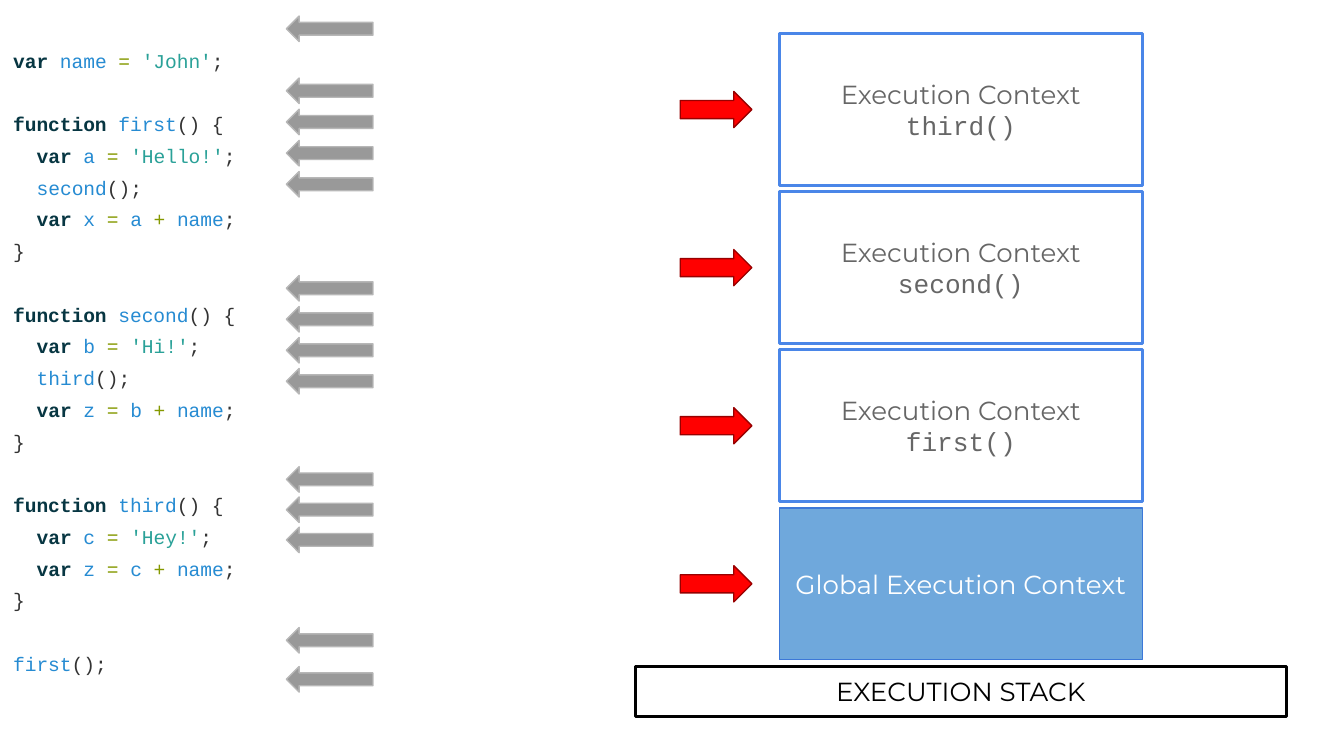
from dataclasses import dataclass

from lxml.etree import SubElement
from pptx import Presentation
from pptx.dml.color import RGBColor
from pptx.enum.shapes import MSO_SHAPE
from pptx.enum.text import MSO_ANCHOR, PP_ALIGN
from pptx.oxml.ns import qn
from pptx.util import Pt


@dataclass(frozen=True)
class Theme:
    mono: str = "Courier New"
    sans: str = "Montserrat"
    code_size: float = 10.5
    label_size: float = 14
    line_height: float = 17
    white: str = "FFFFFF"
    black: str = "000000"
    label: str = "666666"
    frame: str = "4A86E8"
    base_fill: str = "6FA8DC"
    base_line: str = "3C78D8"
    step_fill: str = "999999"
    step_line: str = "B7B7B7"
    pointer_fill: str = "FF0000"
    pointer_line: str = "980000"
    keyword: str = "073642"
    identifier: str = "268BD2"
    operator: str = "859900"
    string: str = "2AA198"
    punctuation: str = "333333"


THEME = Theme()
INSET = 7.2


# Shared helpers
def add_run(p, text, color, size, font, bold=False):
    r = p.add_run()
    r.text = text
    for name, value in {"size": Pt(size), "name": font, "bold": bold}.items():
        setattr(r.font, name, value)
    r.font.color.rgb = RGBColor.from_string(color)


def set_frame(tf, anchor):
    margins = {f"margin_{side}": Pt(INSET) for side in ("left", "top", "right", "bottom")}
    for name, value in {"word_wrap": True, "vertical_anchor": anchor, **margins}.items():
        setattr(tf, name, value)


def add_shape(s, kind, box, fill, line, weight=0.75):
    sp = s.shapes.add_shape(kind, *map(Pt, box))
    sp.shadow.inherit = False
    if fill:
        sp.fill.solid()
        sp.fill.fore_color.rgb = RGBColor.from_string(fill)
    else:
        sp.fill.background()
    sp.line.color.rgb = RGBColor.from_string(line)
    sp.line.width = Pt(weight)
    return sp


def add_label(sp, lines, color):
    """Centre (text, font) lines in a shape, split by line breaks."""
    tf = sp.text_frame
    set_frame(tf, MSO_ANCHOR.MIDDLE)
    p = tf.paragraphs[0]
    p.alignment = PP_ALIGN.CENTER
    for i, (text, font) in enumerate(lines):
        if i:
            p.add_line_break()
            SubElement(p._p[-1], qn("a:rPr"), sz=str(THEME.label_size * 100))
        add_run(p, text, color, THEME.label_size, font)


# Code lines, as lists of (text, kind)
def assign(name, *value):
    return [("var ", "keyword"), (f"{name} ", "identifier"), ("= ", "operator"),
            *value, (";", "punctuation")]


def call(name):
    return [(name, "identifier"), ("();", "punctuation")]


def text_value(text):
    return f"'{text}'", "string"


def add_name(left):
    return (f"{left} ", "identifier"), ("+ ", "operator"), ("name", "identifier")


def function(name, *body):
    head = [("function ", "keyword"), (name, "identifier"), ("() {", "punctuation")]
    return [(0, head), *((1, line) for line in body), (0, [("}", "punctuation")])]


CODE_BLOCKS = [
    [(0, assign("name", text_value("John")))],
    function("first", assign("a", text_value("Hello!")), call("second"),
             assign("x", *add_name("a"))),
    function("second", assign("b", text_value("Hi!")), call("third"),
             assign("z", *add_name("b"))),
    function("third", assign("c", text_value("Hey!")), assign("z", *add_name("c"))),
    [(0, call("first"))],
]


def build_code(s, box):
    tf = s.shapes.add_textbox(*map(Pt, box)).text_frame
    set_frame(tf, MSO_ANCHOR.TOP)
    indent = Pt(2 * 0.6 * THEME.code_size)  # two monospaced characters
    p = tf.paragraphs[0]
    for b, block in enumerate(CODE_BLOCKS):
        for i, (level, tokens) in enumerate(block):
            if b or i:
                p = tf.add_paragraph()
            p.line_spacing = Pt(THEME.line_height)
            p.space_before = Pt(THEME.line_height if b and i == 0 else 0)
            p._p.get_or_add_pPr().set("marL", str(level * indent))
            for text, kind in tokens:
                add_run(p, text, getattr(THEME, kind), THEME.code_size,
                        THEME.mono, kind == "keyword")


# Execution steps: (top of the group, number of arrows, pitch)
STEP_GROUPS = [(0, 1, 0), (33.2, 4, 16.7), (139, 4, 16.6),
               (241.4, 3, 16.2), (327.6, 1, 0), (348.5, 1, 0)]


def build_steps(s, box):
    left, top, width, _ = box
    for start, count, pitch in STEP_GROUPS:
        for i in range(count):
            add_shape(s, MSO_SHAPE.LEFT_ARROW,
                      (left, top + start + i * pitch, width, 13.7),
                      THEME.step_fill, THEME.step_line)


def build_stack(s, box):
    left, top, width, height = box
    base_h, card_w, card_h, pitch = 26.6, 194.4, 81.4, 84.7
    pointer_w, pointer_h = 38.4, 19.4
    card_left = left + (width - card_w) / 2

    # Base of the stack
    sp = add_shape(s, MSO_SHAPE.RECTANGLE, (left, top + height - base_h, width, base_h),
                   None, THEME.black, 1.5)
    add_label(sp, [("EXECUTION STACK", THEME.sans)], THEME.black)

    # Contexts from top to bottom, each with its pointer
    for i, name in enumerate(["third()", "second()", "first()", None]):
        y = top + i * pitch
        card = (card_left, y, card_w, card_h)
        if name:
            sp = add_shape(s, MSO_SHAPE.RECTANGLE, card, THEME.white, THEME.frame, 1.5)
            add_label(sp, [("Execution Context", THEME.sans), (name, THEME.mono)],
                      THEME.label)
        else:
            sp = add_shape(s, MSO_SHAPE.RECTANGLE, card, THEME.base_fill, THEME.base_line)
            add_label(sp, [("Global Execution Context", THEME.sans)], THEME.white)
        add_shape(s, MSO_SHAPE.RIGHT_ARROW,
                  (card_left - 53.2, y + (card_h - pointer_h) / 2, pointer_w, pointer_h),
                  THEME.pointer_fill, THEME.pointer_line)


def main():
    prs = Presentation()
    prs.slide_width, prs.slide_height = Pt(720), Pt(405)
    s = prs.slides.add_slide(prs.slide_layouts[6])
    build_code(s, (0, 14.4, 153.4, 405))
    build_steps(s, (153.4, 8.6, 46.4, 362.2))
    build_stack(s, (340.5, 18, 348.6, 365.7))
    prs.save("out.pptx")


if __name__ == "__main__":
    main()
